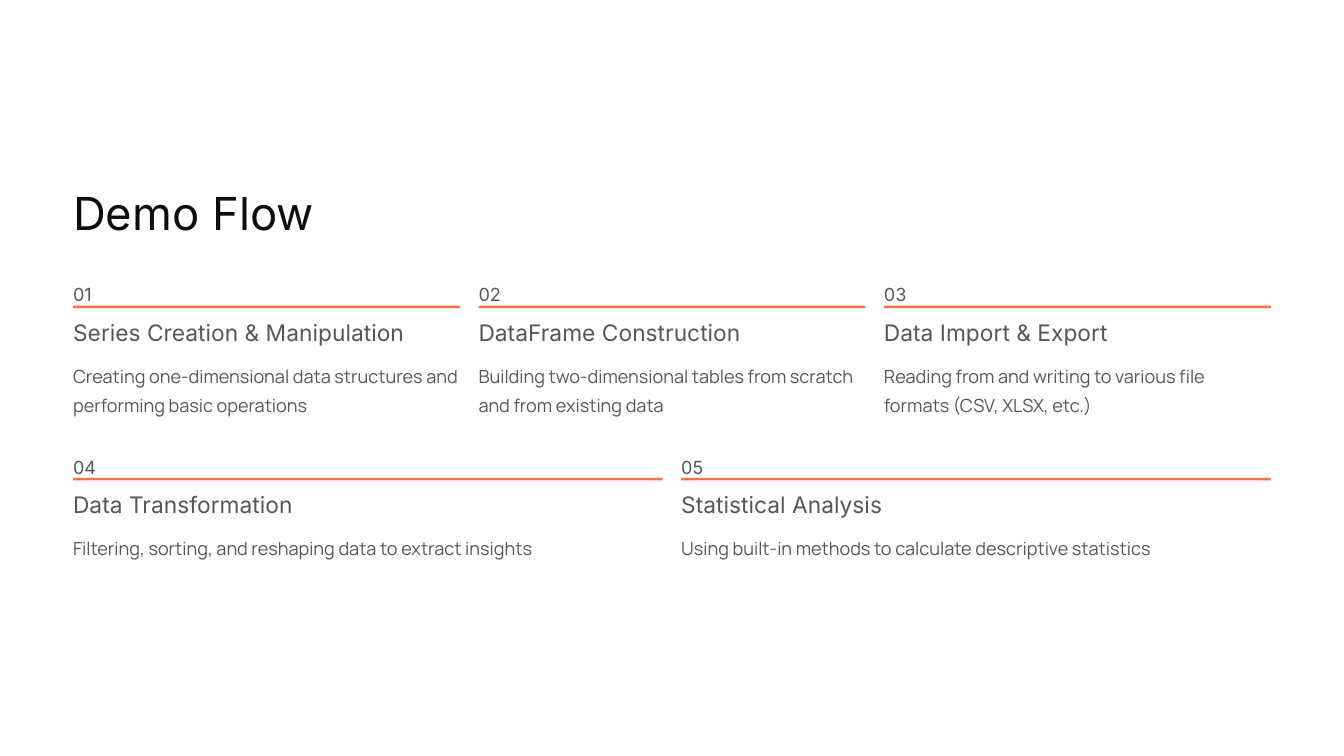
"""Build the Demo Flow slide: five numbered steps in two rows."""
from pptx import Presentation
from pptx import util as u
from pptx.dml.color import RGBColor
from pptx.enum import shapes, text

INK = RGBColor(0x0C, 0x0D, 0x0F)
GREY = RGBColor(0x55, 0x57, 0x5A)
ORANGE = RGBColor(0xFF, 0x70, 0x47)
WHITE = RGBColor(0xFF, 0xFF, 0xFF)

LEFT, WIDTH, GAP = 0.87, 14.26, 0.22

ROWS = [
    (3.29, 0.69, [
        ("Series Creation & Manipulation",
         "Creating one-dimensional data structures and performing basic operations"),
        ("DataFrame Construction",
         "Building two-dimensional tables from scratch and from existing data"),
        ("Data Import & Export",
         "Reading from and writing to various file formats (CSV, XLSX, etc.)"),
    ]),
    (5.34, 0.35, [
        ("Data Transformation",
         "Filtering, sorting, and reshaping data to extract insights"),
        ("Statistical Analysis",
         "Using built-in methods to calculate descriptive statistics"),
    ]),
]


def place(box, left, top, width, height):
    box.left, box.top = u.Inches(left), u.Inches(top)
    box.width, box.height = u.Inches(width), u.Inches(height)


def write(box, words, font, size, spacing, color):
    frame = box.text_frame
    frame.text = words
    frame.word_wrap = True
    frame.auto_size = text.MSO_AUTO_SIZE.NONE
    frame.vertical_anchor = text.MSO_ANCHOR.TOP
    frame.margin_left = frame.margin_right = 0
    frame.margin_top = frame.margin_bottom = 0
    para = frame.paragraphs[0]
    para.alignment = text.PP_ALIGN.LEFT
    para.line_spacing = u.Pt(spacing)
    span = para.runs[0]
    span.font.name = font
    span.font.size = u.Pt(size)
    span.font.color.rgb = color


deck = Presentation()
deck.slide_width, deck.slide_height = u.Inches(16), u.Inches(9)
page = deck.slides.add_slide(deck.slide_layouts[5])
page.background.fill.solid()
page.background.fill.fore_color.rgb = WHITE

title = page.shapes.title
place(title, LEFT, 2.18, 5.43, 0.68)
write(title, "Demo Flow", "Inter", 39, 48.5, INK)

number = 0
for top, body_height, steps in ROWS:
    width = (WIDTH - GAP * (len(steps) - 1)) / len(steps)
    for column, (heading, body) in enumerate(steps):
        number += 1
        left = LEFT + column * (width + GAP)

        rule = page.shapes.add_shape(
            shapes.MSO_SHAPE.RECTANGLE, u.Inches(left), u.Inches(top + 0.35),
            u.Inches(width), u.Inches(0.03))
        rule.shadow.inherit = False
        rule.fill.solid()
        rule.fill.fore_color.rgb = ORANGE
        rule.line.fill.background()

        for words, offset, height, font, size, spacing in [
            (f"{number:02}", 0, 0.27, "Inter", 15.5, 25),
            (heading, 0.5, 0.34, "Inter", 19.5, 24),
            (body, 0.97, body_height, "Manrope", 15.5, 25),
        ]:
            box = page.shapes.add_textbox(0, 0, 0, 0)
            place(box, left, top + offset, width, height)
            write(box, words, font, size, spacing, GREY)

deck.save("out.pptx")
